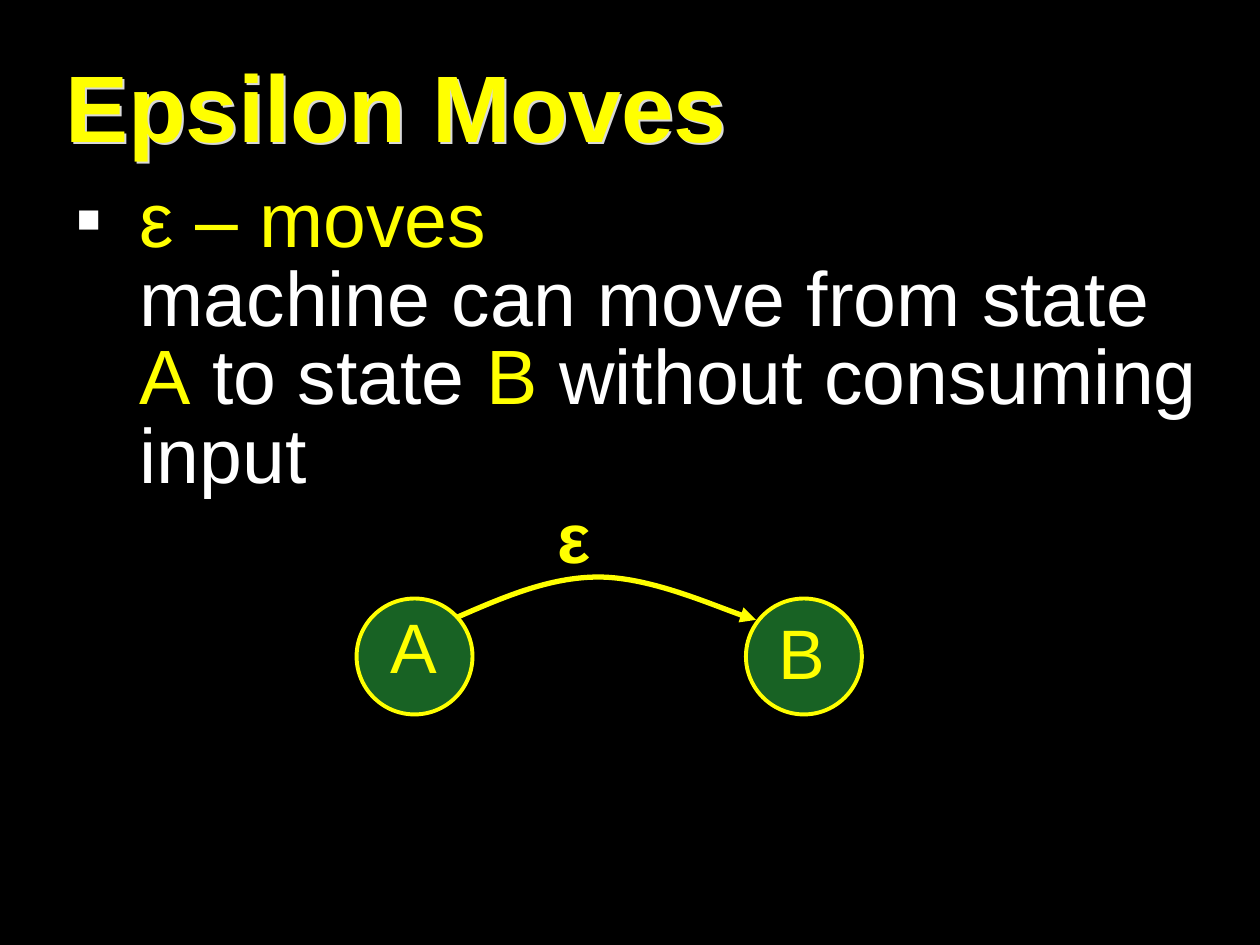
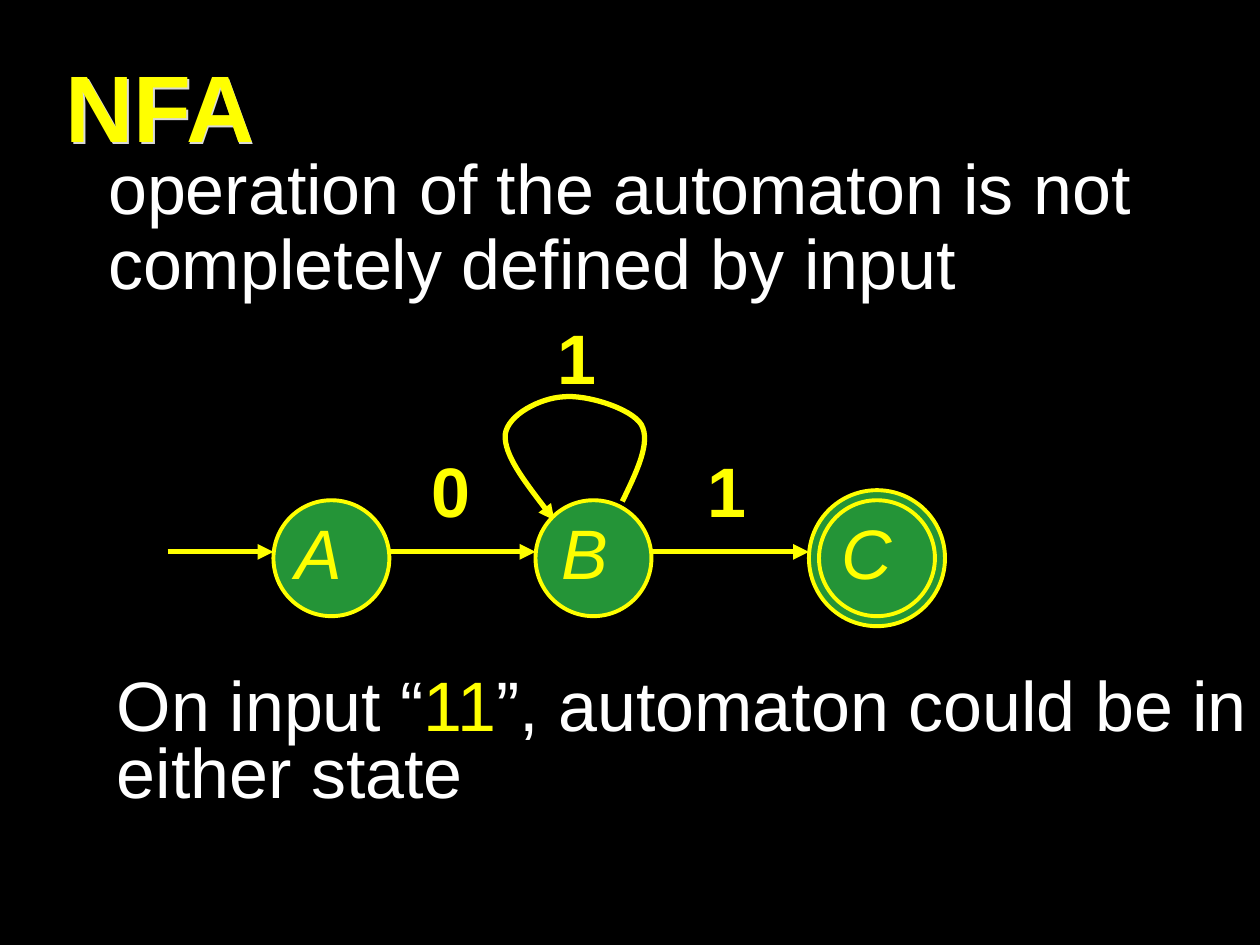
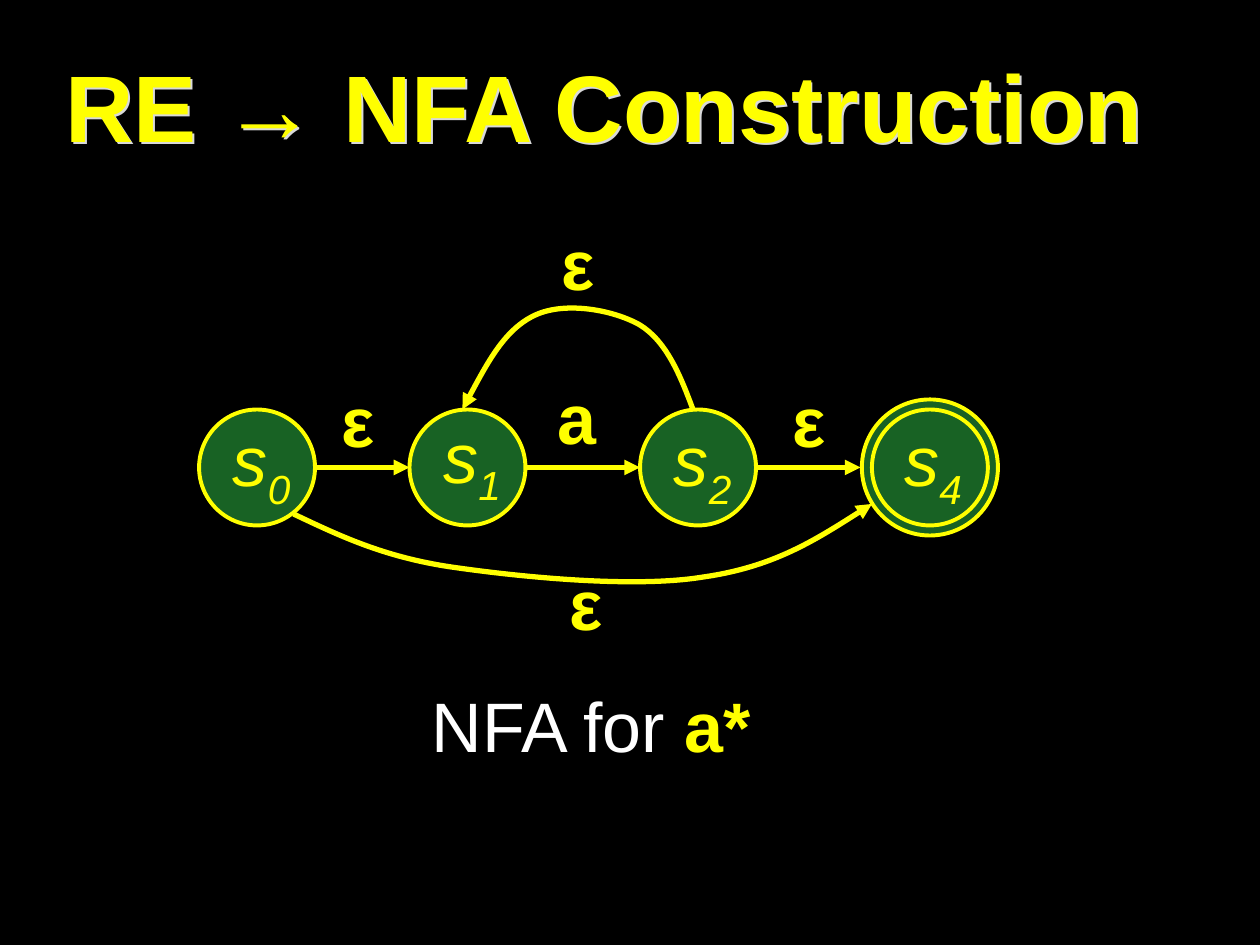
from lxml.etree import SubElement
from pptx import Presentation
from pptx.dml.color import RGBColor
from pptx.enum.shapes import MSO_CONNECTOR, MSO_SHAPE
from pptx.enum.text import MSO_ANCHOR
from pptx.oxml.ns import qn
from pptx.util import Inches, Pt

COLORS = {"back": "000000", "mark": "FFFF00", "text": "FFFFFF",
          "dark": "186224", "green": "249437", "shade": "D9D9D9"}
RGB = {key: RGBColor.from_string(val) for key, val in COLORS.items()}
SIZE, RIM = 0.92, 0.08  # state circle and the gap to its outer ring

# Run styles: w white, b bold, i italic, s subscript, / line break after
# state: left, top, final; arc: start point, then control points
SCENES = [
    {"title": "Epsilon Moves", "fill": "dark",
     "states": [(2.83, 4.75, False), (5.92, 4.75, False)],
     "lines": [],
     "arcs": [[(3.58, 4.92), (3.97, 4.75), (4.35, 4.58), (4.75, 4.58),
               (5.15, 4.58), (5.79, 4.86), (6, 4.92)]],
     "names": [(3, 4.87, "A", ""), (6.08, 4.92, "B", "")],
     "labels": [(4.33, 4, "ε")]},
    {"title": "NFA", "fill": "green",
     "states": [(2.17, 3.97, False), (4.25, 3.97, False), (6.5, 3.97, True)],
     "lines": [(1.33, 2.17, 4.38), (3.08, 4.25, 4.38), (5.17, 6.42, 4.38)],
     "arcs": [[(4.94, 3.98), (5.05, 3.75), (5.17, 3.51), (5.09, 3.37),
               (5.01, 3.24), (4.65, 3.13), (4.47, 3.15),
               (4.29, 3.16), (4.03, 3.29), (4.01, 3.45),
               (4, 3.61), (4.2, 3.87), (4.4, 4.13)]],
     "names": [(2.25, 4.12, "A", "i"), (4.36, 4.12, "B", "i"),
               (6.58, 4.12, "C", "i")],
     "labels": [(3.33, 3.63, "0"), (4.33, 2.58, "1"), (5.52, 3.63, "1")]},
    {"title": "RE → NFA Construction", "fill": "dark",
     "states": [(1.58, 3.25, False), (3.25, 3.25, False),
                (5.08, 3.25, False), (6.92, 3.25, True)],
     "lines": [(2.5, 3.25, 3.71), (4.17, 5.08, 3.71), (6, 6.83, 3.71)],
     "arcs": [[(5.5, 3.25), (5.4, 2.98), (5.29, 2.71), (5.08, 2.58),
               (4.87, 2.46), (4.49, 2.39), (4.25, 2.5),
               (4.01, 2.61), (3.84, 2.93), (3.67, 3.25)],
              [(2.33, 4.08), (2.69, 4.25), (3.04, 4.42), (3.58, 4.5),
               (4.13, 4.58), (5.03, 4.67), (5.58, 4.58),
               (6.14, 4.5), (6.53, 4.25), (6.92, 4)]],
     "names": [(1.75, 3.33, "s0", "i"), (3.42, 3.3, "s1", "i"),
               (5.25, 3.33, "s2", "i"), (7.08, 3.33, "s4", "i")],
     "labels": [(2.61, 3.08, "ε"), (4.33, 3.05, "a"), (6.19, 3.08, "ε"),
                (4.36, 1.83, "ε"), (4.42, 4.53, "ε")]},
]


def write(slide, place, runs, size=40, gap=0.8):
    box = slide.shapes.add_textbox(*map(Inches, place))
    box.text_frame.word_wrap = True
    para = box.text_frame.paragraphs[0]
    para.line_spacing = gap
    for text, style in runs:
        run = para.add_run()
        run.text = text
        font = run.font
        font.name, font.size = "Arial", Pt(size)
        font.bold, font.italic = "b" in style, "i" in style
        font.color.rgb = RGB["text" if "w" in style else "mark"]
        if "s" in style:
            run._r.get_or_add_rPr().set("baseline", "-25000")
        if "/" in style:
            para.add_line_break()
    return box


def arrow(shape):
    shape.line.color.rgb = RGB["mark"]
    shape.line.width = Pt(3)
    SubElement(shape.line._get_or_add_ln(), qn("a:tailEnd"), type="triangle")
    if shape._element.spPr.find(qn("a:effectLst")) is None:
        SubElement(shape._element.spPr, qn("a:effectLst"))


deck = Presentation()
deck.slide_width, deck.slide_height = Inches(10), Inches(7.5)
slides = []

for scene in SCENES:
    slide = deck.slides.add_slide(deck.slide_layouts[6])
    slides.append(slide)
    slide.background.fill.solid()
    slide.background.fill.fore_color.rgb = RGB["back"]

    # Title with a light shadow
    title = write(slide, (0.42, 0.42, 9.67, 0.83), [(scene["title"], "b")], 54, 1)
    title.text_frame.vertical_anchor = MSO_ANCHOR.MIDDLE
    glow = SubElement(title._element.spPr, qn("a:effectLst"))
    cast = SubElement(glow, qn("a:outerShdw"), dist="20000", dir="2700000")
    SubElement(cast, qn("a:srgbClr"), val=COLORS["shade"])

    # Curved moves: every three points become one Bézier segment
    for arc in scene["arcs"]:
        start, *rest = [tuple(map(Inches, point)) for point in arc]
        pen = slide.shapes.build_freeform(*start)
        pen.add_line_segments(rest, close=False)
        curve = pen.convert_to_shape()
        curve.shadow.inherit = False
        curve.fill.background()
        arrow(curve)
        route = curve._element.find(".//" + qn("a:path"))
        steps = route.findall(qn("a:lnTo"))
        for first in range(0, len(steps), 3):
            bend = SubElement(route, qn("a:cubicBezTo"))
            for step in steps[first:first + 3]:
                bend.append(step[0])
                route.remove(step)

    # States, with an outer ring on the final one
    for left, top, final in scene["states"]:
        for rim in ([RIM, 0] if final else [0]):
            side = Inches(SIZE + 2 * rim)
            disc = slide.shapes.add_shape(
                MSO_SHAPE.OVAL, Inches(left - rim), Inches(top - rim), side, side)
            disc.shadow.inherit = False
            disc.fill.solid()
            disc.fill.fore_color.rgb = RGB[scene["fill"]]
            disc.line.color.rgb = RGB["mark"]
            disc.line.width = Pt(2.25)

    # Straight moves
    for left, right, y in scene["lines"]:
        arrow(slide.shapes.add_connector(
            MSO_CONNECTOR.STRAIGHT, Inches(left), Inches(y), Inches(right), Inches(y)))

    # State names and move labels
    for x, y, name, style in scene["names"]:
        runs = [(name[0], style)]
        wide, high = 0.73, 0.64
        if name[1:]:
            runs.append((name[1:], style + "s"))
            wide, high = 1, 0.71
        write(slide, (x, y, wide, high), runs)
    for x, y, label in scene["labels"]:
        write(slide, (x, y, 0.73, 0.64), [(label, "b")])

# Body texts
moves = write(slides[0], (0.5, 1.42, 9.17, 2.75), [
    ("ε – moves", "/"), ("machine can move from state ", "w"), ("A", ""),
    (" to state ", "w"), ("B", ""), (" without consuming input", "w")], 44, 0.85)
about = write(slides[1], (0.25, 1.17, 9.75, 1.92), [
    ("operation of the automaton is not completely defined by input", "w")], 40, 0.9)
write(slides[1], (0.83, 5.33, 9.17, 1.17), [
    ("On input “", "w"), ("11", ""), ("”, automaton could be in either state", "w")])
write(slides[2], (3.33, 5.5, 3.67, 0.64), [("NFA for ", "w"), ("a*", "b")])

# Indents and the square bullet
for box, first in ((moves, -0.51), (about, 0)):
    props = box.text_frame.paragraphs[0]._p.get_or_add_pPr()
    props.set("marL", str(Inches(0.51)))
    props.set("indent", str(Inches(first)))
props = moves.text_frame.paragraphs[0]._p.get_or_add_pPr()
SubElement(SubElement(props, qn("a:buClr")), qn("a:srgbClr"), val=COLORS["text"])
SubElement(props, qn("a:buFont"), typeface="Arial")
SubElement(props, qn("a:buChar"), char="▪")

deck.save("out.pptx")
